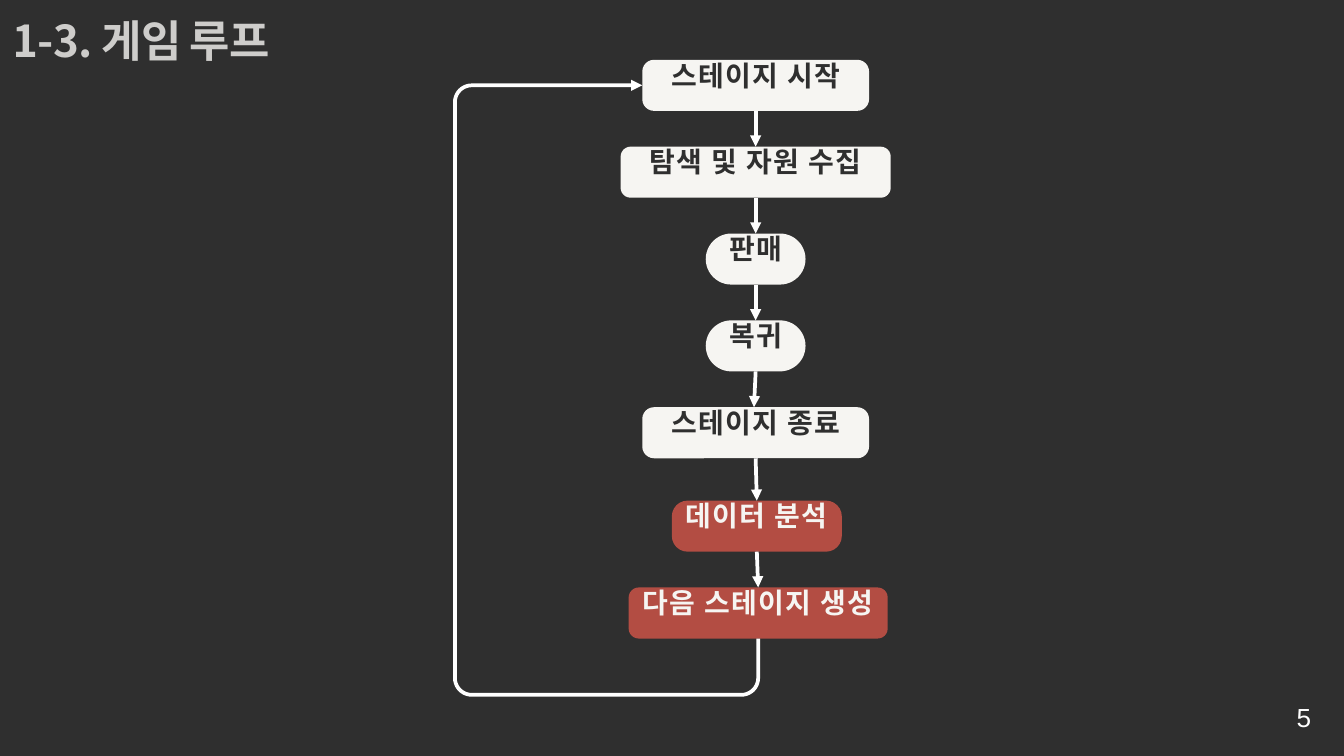
import math

from lxml import etree
from pptx import Presentation
from pptx import util as u
from pptx.dml import color
from pptx.enum import shapes, text
from pptx.oxml import ns

COLORS = {"dark": "2F2F2F", "light": "F6F5F2", "red": "B34D43", "white": "FFFFFF"}
KOREAN = "Noto Sans CJK KR"
COLUMNS, ROWS, CELL = 80, 45, 0.25
STAGE_HEIGHT, STAGE_PITCH = 3.04, 5.17
LABEL_HEIGHT = 4.76
LOOP_RADIUS = 1

TITLE = {"size": u.Pt(47), "bold": True, "name": KOREAN}
LABEL = {"size": u.Pt(30), "bold": True, "name": KOREAN}
NUMBER = {"size": u.Pt(28), "bold": False, "name": "Arial"}

STAGES = [
    ("스테이지 시작", 44.98, 3.56, 13.5, 0.7, "light", 44.98),
    ("탐색 및 자원 수집", 44.98, 3.56, 16.08, 0.6, "light", 44.98),
    ("판매", 44.98, 3.56, 5.94, 1.52, "light", 44.98),
    ("복귀", 44.98, 3.56, 5.94, 1.52, "light", 44.98),
    ("스테이지 종료", 44.98, 3.56, 13.5, 0.7, "light", 44.88),
    ("데이터 분석", 45.05, 3.95, 10.12, 0.94, "red", 45.05),
    ("다음 스테이지 생성", 45.13, 3.95, 15.42, 0.6, "red", 45.13),
]


def grid(*cells):
    return [u.Inches(cell * CELL) for cell in cells]


class FlowSlide:
    def __init__(self, presentation):
        self.slide = presentation.slides.add_slide(presentation.slide_layouts[5])
        self.paint(self.slide.background.fill, "dark")

    def paint(self, fill, name):
        fill.solid()
        fill.fore_color.rgb = color.RGBColor.from_string(COLORS[name])

    def set_text(self, shape, words, style, ink, spacing, align, inset=0,
                 anchor=text.MSO_ANCHOR.TOP, wrap=True, tracking=0, alpha=None):
        frame = shape.text_frame
        frame.text = words
        frame_format = {"word_wrap": wrap, "vertical_anchor": anchor,
                        "auto_size": text.MSO_AUTO_SIZE.NONE}
        for side in ("left", "right", "top", "bottom"):
            frame_format["margin_" + side] = u.Inches(inset)
        for key, value in frame_format.items():
            setattr(frame, key, value)
        paragraph = frame.paragraphs[0]
        for key, value in {"alignment": align, "line_spacing": u.Pt(spacing),
                           "space_before": u.Pt(0)}.items():
            setattr(paragraph, key, value)
        font = paragraph.runs[0].font
        for key, value in style.items():
            setattr(font, key, value)
        self.paint(font.fill, ink)
        properties = paragraph.runs[0]._r.get_or_add_rPr()
        properties.set("spc", str(tracking))
        latin = properties.find(ns.qn("a:latin"))
        east_asian = etree.Element(ns.qn("a:ea"), typeface=style["name"])
        latin.addnext(east_asian)
        if alpha:
            solid = properties.find(ns.qn("a:solidFill"))
            etree.SubElement(solid[0], ns.qn("a:alpha"), val=str(alpha * 1000))

    def title(self, words, *box):
        shape = self.slide.shapes.title
        for key, value in zip(("left", "top", "width", "height"), grid(*box)):
            setattr(shape, key, value)
        self.set_text(shape, words, TITLE, "light", 70.5, text.PP_ALIGN.LEFT,
                      tracking=-90, alpha=80)

    def number(self, words, *box):
        shape = self.slide.shapes.add_textbox(*grid(*box))
        self.set_text(shape, words, NUMBER, "white", 39.2, text.PP_ALIGN.CENTER, wrap=False)

    def stage(self, words, center, top, width, radius, fill):
        left = center - width / 2
        shape = self.slide.shapes.add_shape(
            shapes.MSO_SHAPE.ROUNDED_RECTANGLE, *grid(left, top, width, STAGE_HEIGHT))
        shape.adjustments[0] = radius / STAGE_HEIGHT
        shape.shadow.inherit = False
        self.paint(shape.fill, fill)
        shape.line.fill.background()
        label = self.slide.shapes.add_textbox(
            *grid(left, top + STAGE_HEIGHT - LABEL_HEIGHT, width, LABEL_HEIGHT))
        self.set_text(label, words, LABEL, "dark" if fill == "light" else "light", 44.7,
                      text.PP_ALIGN.CENTER, inset=0.06, anchor=text.MSO_ANCHOR.MIDDLE,
                      wrap=False, tracking=150)

    def arrow_line(self, shape):
        shape.line.width = u.Pt(4)
        self.paint(shape.line.fill, "white")
        outline = shape._element.spPr.find(ns.qn("a:ln"))
        etree.SubElement(outline, ns.qn("a:tailEnd"), type="triangle")

    def arrow(self, start, end):
        connector = self.slide.shapes.add_connector(
            shapes.MSO_CONNECTOR.STRAIGHT, *grid(*start, *end))
        self.arrow_line(connector)
        etree.SubElement(connector._element.spPr, ns.qn("a:effectLst"))

    def loop(self, start, bottom, left, end):
        r = LOOP_RADIUS
        corners = [(start[0] - r, bottom - r, 0),
                   (left + r, bottom - r, 90),
                   (left + r, end[1] + r, 180)]
        points = [(x + r * math.cos(math.radians(first + turn)),
                   y + r * math.sin(math.radians(first + turn)))
                  for x, y, first in corners for turn in range(0, 91, 9)]
        builder = self.slide.shapes.build_freeform(*grid(*start))
        builder.add_line_segments([grid(*point) for point in points + [end]], close=False)
        shape = builder.convert_to_shape()
        shape.shadow.inherit = False
        shape.fill.background()
        self.arrow_line(shape)


def main():
    presentation = Presentation()
    presentation.slide_width, presentation.slide_height = grid(COLUMNS, ROWS)
    flow = FlowSlide(presentation)
    flow.title("1-3. 게임 루프", 0.76, 0.04, 17.44, 3.8)
    flow.number("5", 77.28, 41.44, 0.68, 1)

    previous = None
    for index, (words, center, first_top, width, radius, fill, entry) in enumerate(STAGES):
        top = first_top + index * STAGE_PITCH
        flow.stage(words, center, top, width, radius, fill)
        if previous:
            flow.arrow(previous, (entry, top))
        previous = (center, top + STAGE_HEIGHT)

    _, center, top, width, *_ = STAGES[0]
    flow.loop(previous, 41.36, 27.08, (center - width / 2, top + STAGE_HEIGHT / 2))
    presentation.save("out.pptx")


if __name__ == "__main__":
    main()
